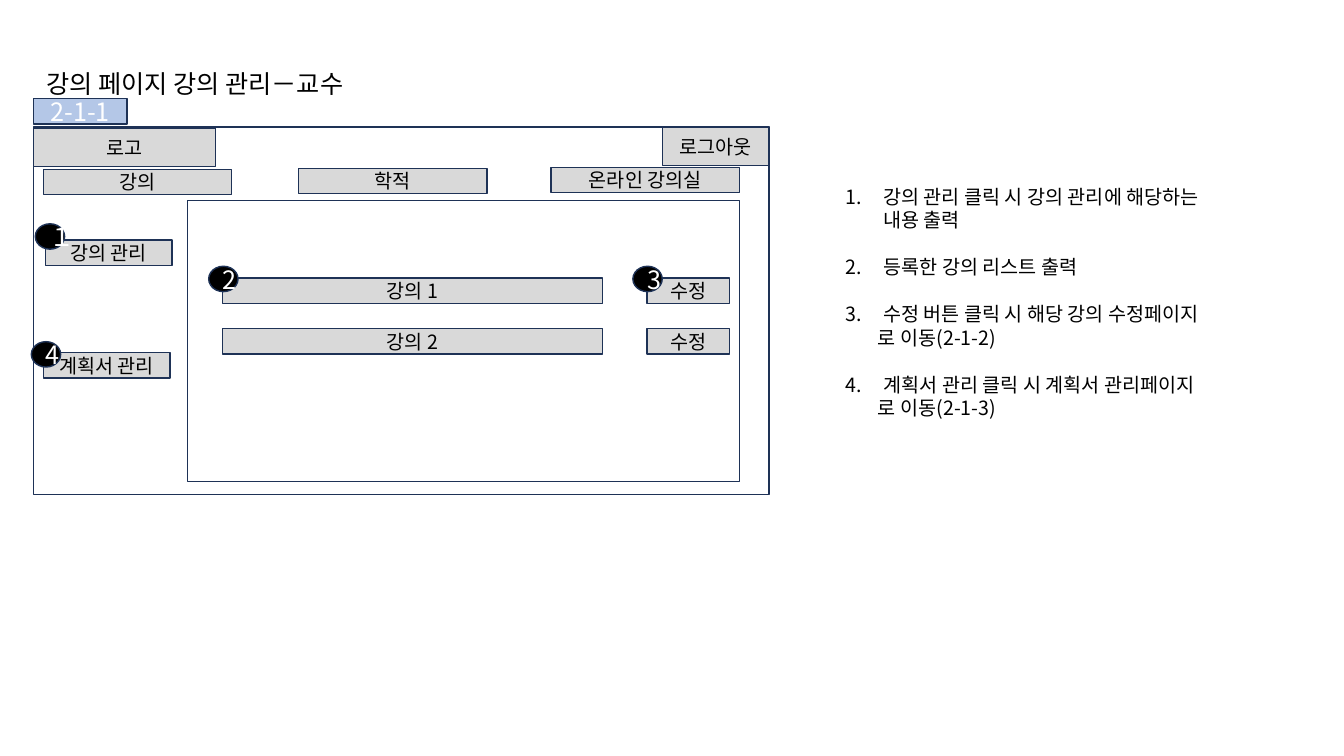
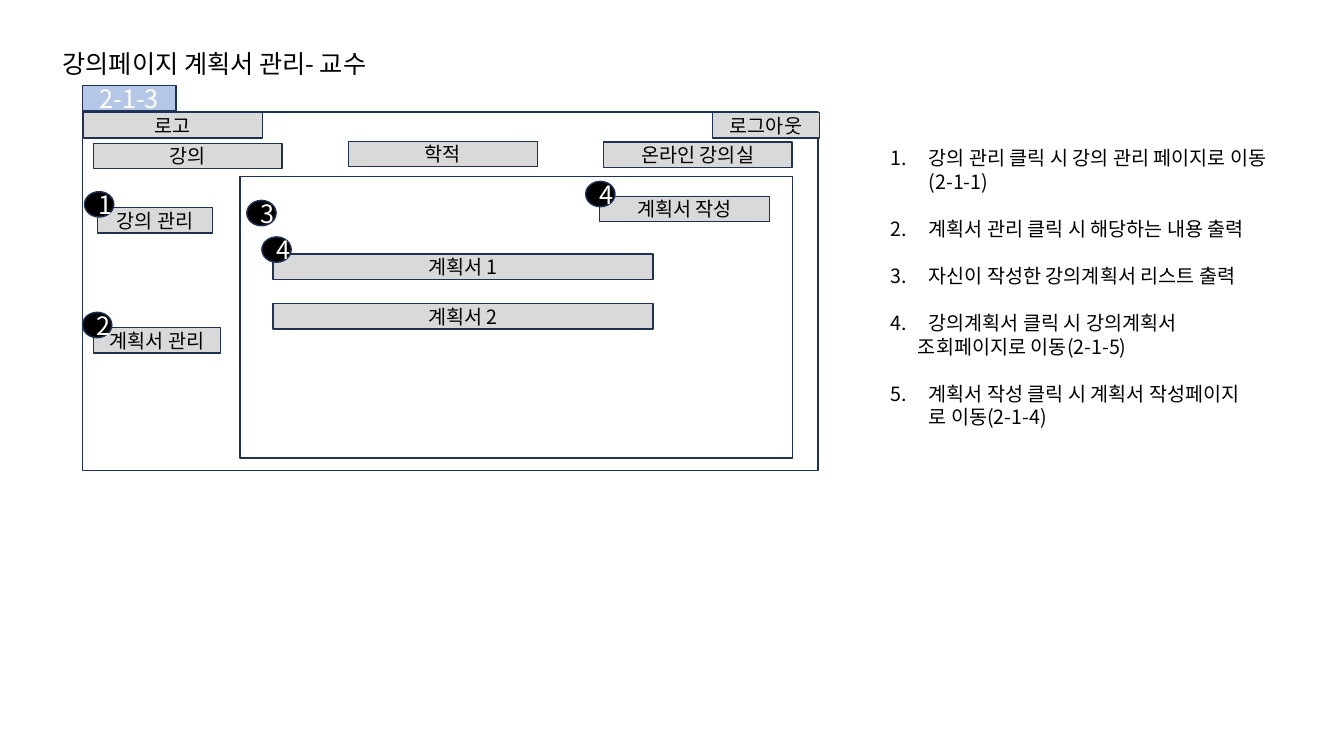
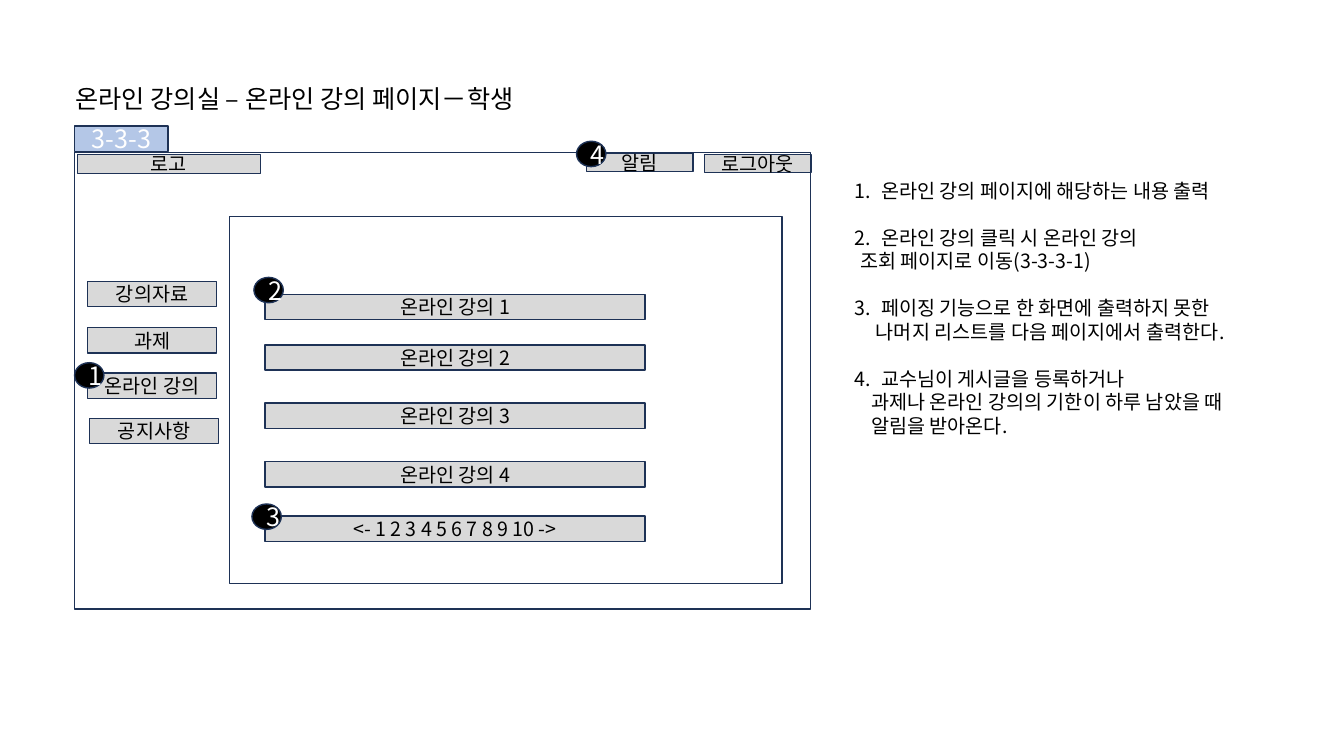
from lxml import etree
from pptx import Presentation
from pptx.dml.color import RGBColor
from pptx.enum.shapes import MSO_SHAPE
from pptx.enum.text import MSO_ANCHOR, MSO_AUTO_SIZE, PP_ALIGN
from pptx.oxml.ns import qn
from pptx.util import Cm, Pt

RECTANGLE, OVAL = MSO_SHAPE.RECTANGLE, MSO_SHAPE.OVAL
LEFT, CENTER = PP_ALIGN.LEFT, PP_ALIGN.CENTER
TOP, MIDDLE = MSO_ANCHOR.TOP, MSO_ANCHOR.MIDDLE
NO_AUTOFIT = MSO_AUTO_SIZE.NONE

BLACK = RGBColor(0x00, 0x00, 0x00)
WHITE = RGBColor(0xFF, 0xFF, 0xFF)
NAVY = RGBColor(0x1E, 0x32, 0x56)
GRAY = RGBColor(0xD9, 0xD9, 0xD9)
PALE_BLUE = RGBColor(0xB4, 0xC7, 0xE7)

FONT = "Noto Sans CJK KR"
LARGE, SMALL = Pt(18), Pt(14)
NOTE_LINE = Pt(16.8)

BUTTON_HEIGHT = 0.64
FRAME_WIDTH, PANEL_WIDTH = 18.54, 13.92
CODE_WIDTH, BADGE_WIDTH = 2.36, 0.74
TAB_WIDTH, ROW_WIDTH, LOGOUT_WIDTH = 4.75, 9.58, 2.69
LAYOUT_TITLE_AND_BODY = 1


def style_paragraph(para, size, color, align):
    """Set the font and alignment of a whole paragraph."""
    para.alignment = align
    font = para.font
    font.name, font.size, font.color.rgb = FONT, size, color
    defaults = para._p.pPr.find(qn("a:defRPr"))
    etree.SubElement(defaults, qn("a:ea"), typeface=FONT)


def place(shape, left, top, width, height):
    """Move and size a shape, in centimetres."""
    shape.left, shape.top = Cm(left), Cm(top)
    shape.width, shape.height = Cm(width), Cm(height)


def add_box(page, left, top, width, height=BUTTON_HEIGHT, text="",
            fill=GRAY, color=BLACK, size=SMALL, kind=RECTANGLE):
    """Add an outlined shape with an optional centred label."""
    box = page.shapes.add_shape(kind, Cm(left), Cm(top), Cm(width), Cm(height))
    box.shadow.inherit = False
    box.fill.solid()
    box.fill.fore_color.rgb = fill
    box.line.color.rgb = NAVY
    box.line.width = Pt(1)
    if text:
        para = box.text_frame.paragraphs[0]
        para.text = text
        style_paragraph(para, size, color, CENTER)


def add_buttons(page, width, buttons, height=BUTTON_HEIGHT):
    """Add grey buttons of one size from (left, top, text) entries."""
    for left, top, text in buttons:
        add_box(page, left, top, width, height, text)


def add_badges(page, badges):
    """Add black numbered markers from (left, top, number) entries."""
    for left, top, number in badges:
        add_box(page, left, top, BADGE_WIDTH, text=number, fill=BLACK,
                color=WHITE, size=LARGE, kind=OVAL)


def add_screen(page, left, top, height, code, code_top, panel):
    """Add the screen frame, its code tag and the content panel."""
    panel_left, panel_top, panel_height = panel
    add_box(page, left, top, FRAME_WIDTH, height, fill=WHITE)
    add_box(page, left, code_top, CODE_WIDTH, text=code,
            fill=PALE_BLUE, color=WHITE, size=LARGE)
    add_box(page, panel_left, panel_top, PANEL_WIDTH, panel_height, fill=WHITE)


def start_page(deck, title, left, top, width):
    """Add a slide and set its title."""
    page = deck.slides.add_slide(deck.slide_layouts[LAYOUT_TITLE_AND_BODY])
    heading = page.shapes.title
    place(heading, left, top, width, 1.02)
    frame = heading.text_frame
    frame.auto_size, frame.word_wrap = NO_AUTOFIT, True
    frame.vertical_anchor = MIDDLE
    frame.text = title
    style_paragraph(frame.paragraphs[0], LARGE, BLACK, LEFT)
    return page


def add_note_line(frame, text, margin, number=None, hang=0, gap=0):
    """Add one line of the notes, numbered or as a continuation."""
    first = not frame.paragraphs[0].text
    para = frame.paragraphs[0] if first else frame.add_paragraph()
    para.text = text
    props = para._p.get_or_add_pPr()
    props.set("marL", str(Cm(margin)))
    props.set("indent", str(-Cm(hang)))
    if number:
        etree.SubElement(props, qn("a:buFont"), typeface=FONT)
        etree.SubElement(props, qn("a:buAutoNum"), type="arabicPeriod",
                         startAt=str(number))
    else:
        etree.SubElement(props, qn("a:buNone"))
    para.line_spacing = NOTE_LINE
    para.space_before = Pt(0) if first else gap
    para.space_after = Pt(0)
    style_paragraph(para, SMALL, BLACK, LEFT)


def fill_notes(page, area, hang, notes):
    """Fill the body with notes of (text, continuation margin, lines)."""
    body = page.placeholders[1]
    place(body, *area)
    frame = body.text_frame
    frame.auto_size, frame.word_wrap = NO_AUTOFIT, True
    frame.vertical_anchor = TOP
    for number, (text, margin, lines) in enumerate(notes, 1):
        add_note_line(frame, text, hang, number, hang, NOTE_LINE)
        for line in lines:
            add_note_line(frame, line, margin, gap=Pt(0))


def build_lecture_page(deck):
    """Build the professor's lecture management screen."""
    page = start_page(deck, "강의 페이지 강의 관리－교수", 0.91, 1.6, 8.89)
    add_screen(page, 0.84, 3.2, 9.27, "2-1-1", 2.49, (4.72, 5.05, 7.09))
    add_buttons(page, 3.2, [(1.14, 6.05, "강의 관리"),
                            (1.09, 8.89, "계획서 관리")])
    for index in range(2):
        top = 7.01 + index * 1.27
        add_box(page, 5.61, top, ROW_WIDTH, text=f"강의 {index + 1}")
        add_box(page, 16.31, top, 2.08, text="수정")
    add_buttons(page, TAB_WIDTH, [(1.09, 4.27, "강의"), (7.52, 4.24, "학적"),
                                  (13.89, 4.22, "온라인 강의실")])
    add_box(page, 16.69, 3.2, LOGOUT_WIDTH, 0.97, "로그아웃")
    add_box(page, 0.84, 3.23, 4.6, 0.97, "로고")
    add_badges(page, [(0.89, 5.64, "１"), (5.26, 6.71, "2"),
                      (15.95, 6.71, "3"), (0.79, 8.61, "4")])
    fill_notes(page, (21.06, 4.52, 10.41, 9.25), 0.95, [
        ("강의 관리 클릭 시 강의 관리에 해당하는 내용 출력", 0, []),
        ("등록한 강의 리스트 출력", 0, []),
        ("수정 버튼 클릭 시 해당 강의 수정페이지", 0.81, ["로 이동(2-1-2)"]),
        ("계획서 관리 클릭 시 계획서 관리페이지", 0.81, ["로 이동(2-1-3)"]),
    ])


def build_plan_page(deck):
    """Build the professor's lecture plan management screen."""
    page = start_page(deck, "강의페이지 계획서 관리- 교수", 1.32, 1.09, 9.37)
    add_screen(page, 2.08, 2.82, 9.04, "2-1-3", 2.16, (6.05, 4.45, 7.09))
    add_box(page, 2.46, 5.23, 2.9, text="강의 관리")
    add_box(page, 2.36, 8.26, 3.2, text="계획서 관리")
    add_buttons(page, ROW_WIDTH, [(6.88, 6.4 + index * 1.25, f"계획서 {index + 1}")
                                  for index in range(2)])
    add_box(page, 15.11, 4.95, 4.29, text="계획서 작성")
    add_buttons(page, TAB_WIDTH, [(2.36, 3.61, "강의"), (8.79, 3.56, "학적"),
                                  (15.21, 3.58, "온라인 강의실")])
    add_box(page, 2.11, 2.84, 4.5, text="로고")
    add_box(page, 17.96, 2.84, LOGOUT_WIDTH, text="로그아웃")
    add_badges(page, [(2.13, 4.83, "1"), (2.08, 7.87, "2"), (6.22, 5.05, "3"),
                      (14.76, 4.57, "4"), (6.6, 5.97, "4")])
    fill_notes(page, (22.2, 3.56, 10.41, 9.83), 0.95, [
        ("강의 관리 클릭 시 강의 관리 페이지로 이동(2-1-1)", 0, []),
        ("계획서 관리 클릭 시 해당하는 내용 출력", 0, []),
        ("자신이 작성한 강의계획서 리스트 출력", 0, []),
        ("강의계획서 클릭 시 강의계획서", 0.68, ["조회페이지로 이동(2-1-5)"]),
        ("계획서 작성 클릭 시 계획서 작성페이지", 0.95, ["로 이동(2-1-4)"]),
    ])


def build_online_page(deck):
    """Build the student's online lecture screen."""
    page = start_page(deck, "온라인 강의실 – 온라인 강의 페이지－학생",
                      1.65, 1.96, 12.88)
    add_screen(page, 1.88, 3.84, 11.51, "3-3-3", 3.18, (5.79, 5.46, 9.25))
    rows = [(6.68, top, f"온라인 강의 {number}")
            for number, top in enumerate((7.42, 8.69, 10.16, 11.63), 1)]
    add_buttons(page, ROW_WIDTH,
                rows + [(6.68, 13, "<- 1 2 3 4 5 6 7 8 9 10 ->")])
    add_buttons(page, 3.25, [(2.21, 7.09, "강의자료"), (2.21, 8.26, "과제"),
                             (2.21, 9.4, "온라인 강의"),
                             (2.26, 10.54, "공지사항")])
    add_buttons(page, LOGOUT_WIDTH, [(14.78, 3.86, "알림"),
                                     (17.75, 3.89, "로그아웃")], 0.46)
    add_box(page, 1.96, 3.89, 4.6, 0.48, "로고")
    add_badges(page, [(1.88, 9.14, "1"), (6.4, 6.99, "2"),
                      (6.35, 12.7, "3"), (14.53, 3.56, "4")])
    fill_notes(page, (21.29, 4.37, 11.3, 8.64), 0.66, [
        ("온라인 강의 페이지에 해당하는 내용 출력", 0, []),
        ("온라인 강의 클릭 시 온라인 강의", 0.13,
         ["조회 페이지로 이동(3-3-3-1)"]),
        ("페이징 기능으로 한 화면에 출력하지 못한", 0.53,
         ["나머지 리스트를 다음 페이지에서 출력한다."]),
        ("교수님이 게시글을 등록하거나", 0.41,
         ["과제나 온라인 강의의 기한이 하루 남았을 때", "알림을 받아온다."]),
    ])


def main():
    """Build the three screens and save the deck."""
    deck = Presentation()
    deck.slide_width, deck.slide_height = Cm(33.87), Cm(19.05)
    build_lecture_page(deck)
    build_plan_page(deck)
    build_online_page(deck)
    deck.save("out.pptx")


if __name__ == "__main__":
    main()
